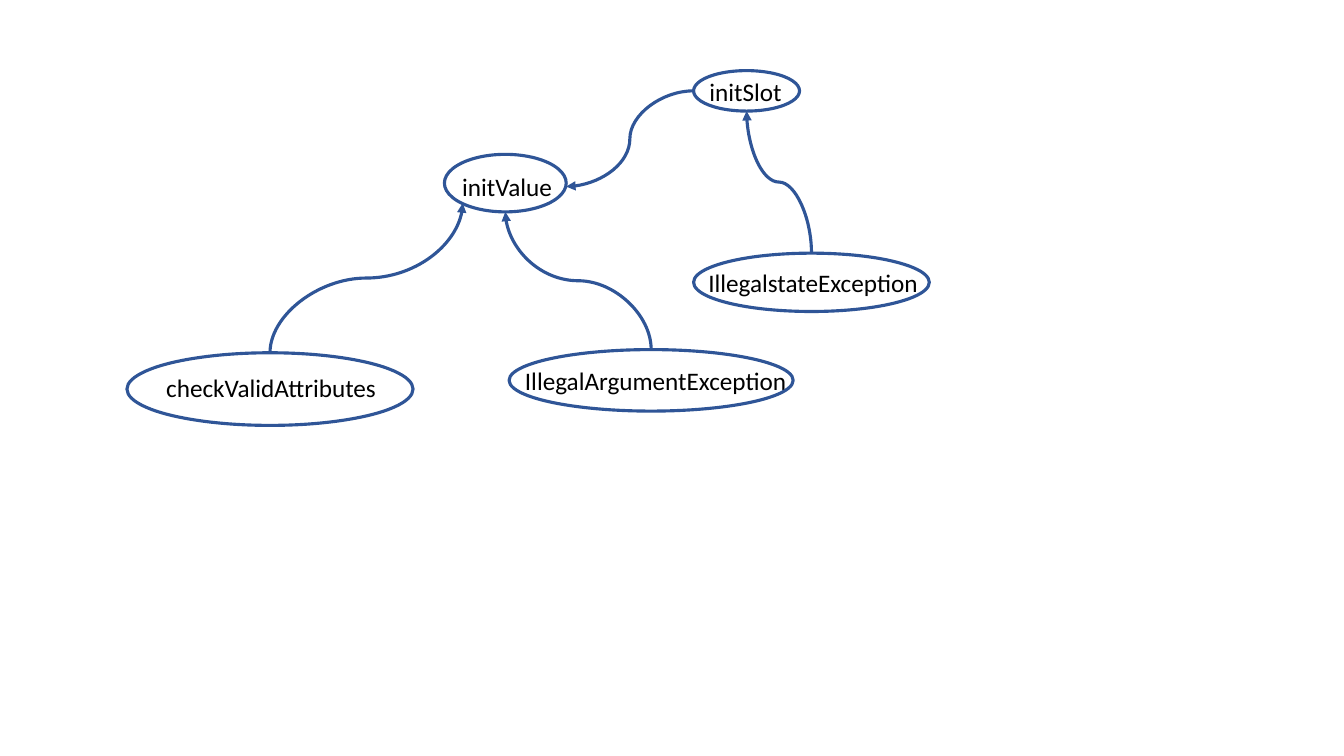
import pptx
import pptx.util
import pptx.dml.color
import pptx.enum.shapes
import pptx.enum.text
import pptx.oxml
import pptx.oxml.ns
from lxml import etree

Cm = pptx.util.Cm
Pt = pptx.util.Pt

COLOURS = {"outline": "2F5597", "label": "000000"}
LABEL_HEIGHT = 1.02

METHODS = {
    "initSlot": {"ellipse": (17.48, 1.78, 2.67, 1.02), "label": (17.63, 1.8, 2.36)},
    "IllegalstateException": {"ellipse": (17.48, 6.38, 5.94, 1.47), "label": (17.6, 6.6, 5.94)},
    "checkValidAttributes": {"ellipse": (3.2, 8.89, 7.21, 1.83), "label": (3.94, 9.25, 5.87)},
    "IllegalArgumentException": {"ellipse": (12.83, 8.81, 7.16, 1.55), "label": (12.98, 9.09, 7.16)},
    "initValue": {"ellipse": (11.2, 3.89, 3.07, 1.45), "label": (11.4, 4.19, 2.87)},
}

TOP, BOTTOM, LEFT = (0.5, 0), (0.5, 1), (0, 0.5)
LOWER_RIGHT, LOWER_LEFT = (1, 0.56), (0.15, 0.85)

CALLS = [
    ("IllegalstateException", TOP, "initSlot", BOTTOM),
    ("initSlot", LEFT, "initValue", LOWER_RIGHT),
    ("IllegalArgumentException", TOP, "initValue", BOTTOM),
    ("checkValidAttributes", TOP, "initValue", LOWER_LEFT),
]


def colour(key):
    return pptx.dml.color.RGBColor.from_string(COLOURS[key])


def style_outline(line):
    line.color.rgb = colour("outline")
    line.width = Pt(2.25)


def anchor(method, fraction):
    left, top, width, height = METHODS[method]["ellipse"]
    return left + width * fraction[0], top + height * fraction[1]


def add_method(slide, name, places):
    left, top, width = places["label"]
    label = slide.shapes.add_textbox(Cm(left), Cm(top), Cm(width), Cm(LABEL_HEIGHT))
    frame = label.text_frame
    frame.word_wrap = False
    frame.auto_size = pptx.enum.text.MSO_AUTO_SIZE.SHAPE_TO_FIT_TEXT
    run = frame.paragraphs[0].add_run()
    run.text = name
    run.font.name = "Calibri"
    run.font.size = Pt(18)
    run.font.color.rgb = colour("label")

    oval = slide.shapes.add_shape(
        pptx.enum.shapes.MSO_SHAPE.OVAL, *[Cm(v) for v in places["ellipse"]]
    )
    oval.shadow.inherit = False
    oval.fill.background()
    style_outline(oval.line)


def add_call(slide, source, source_side, target, target_side):
    x1, y1 = anchor(source, source_side)
    x2, y2 = anchor(target, target_side)
    upward = source_side == TOP
    if upward:
        centre_x, centre_y = (x1 + x2) / 2, (y1 + y2) / 2
        half_rise, half_run = (y1 - y2) / 2, (x2 - x1) / 2
        x1, x2 = centre_x - half_rise, centre_x + half_rise
        y1, y2 = centre_y - half_run, centre_y + half_run
    call = slide.shapes.add_connector(
        pptx.enum.shapes.MSO_CONNECTOR.CURVE, Cm(x1), Cm(y1), Cm(x2), Cm(y2)
    )
    style_outline(call.line)
    qn = pptx.oxml.ns.qn
    properties = call._element.spPr
    if upward:
        properties.find(qn("a:xfrm")).set("rot", str(270 * 60000))
    etree.SubElement(properties.find(qn("a:ln")), qn("a:tailEnd"), type="triangle")
    etree.SubElement(properties, qn("a:effectLst"))


def main():
    deck = pptx.Presentation()
    deck.slide_width, deck.slide_height = Cm(33.87), Cm(19.05)
    slide = deck.slides.add_slide(deck.slide_layouts[6])
    for name, places in METHODS.items():
        add_method(slide, name, places)
    for call in CALLS:
        add_call(slide, *call)
    deck.save("out.pptx")


if __name__ == "__main__":
    main()
